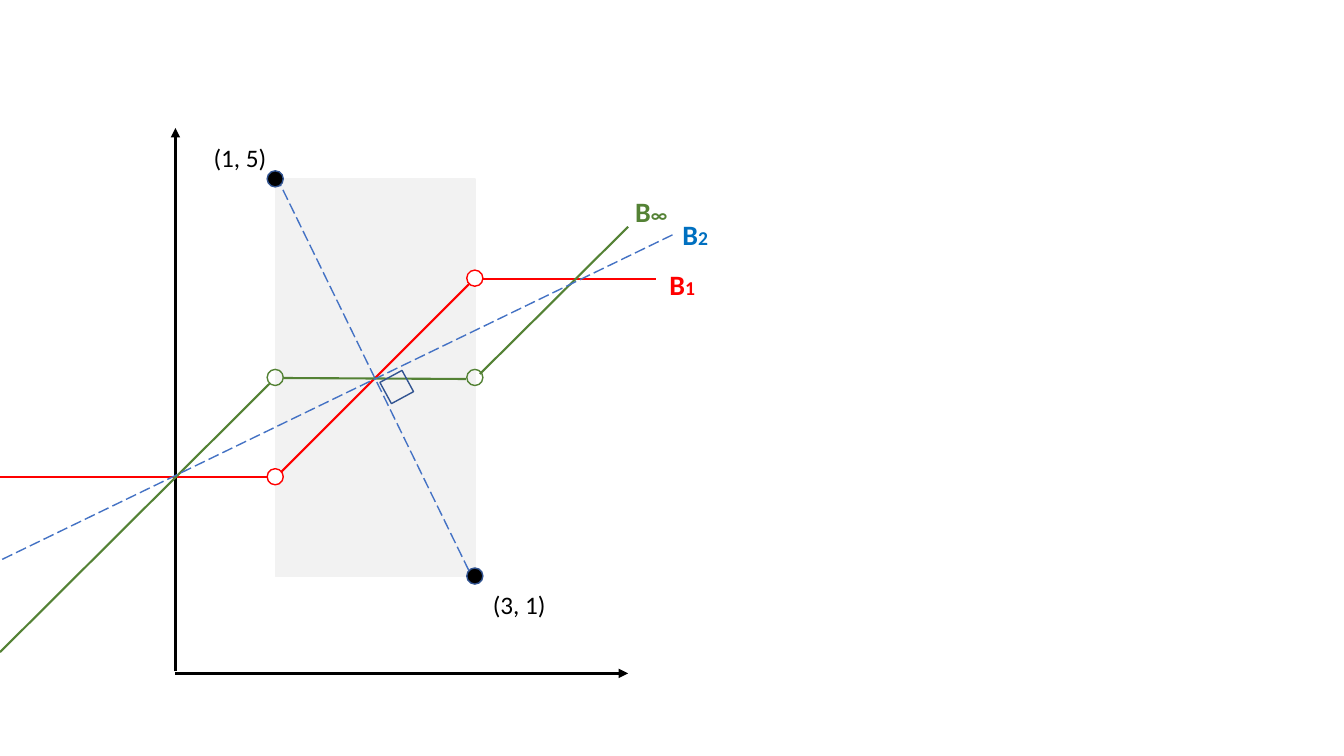
"""Builds a slide with two points and their B1, B2 and B∞ bisectors."""
from pptx import Presentation
from pptx.dml.color import RGBColor
from pptx.enum.dml import MSO_LINE
from pptx.enum.shapes import MSO_CONNECTOR, MSO_SHAPE
from pptx.enum.text import MSO_AUTO_SIZE
from pptx.oxml.ns import qn
from pptx.util import Inches, Pt
from lxml import etree

RECT, OVAL = MSO_SHAPE.RECTANGLE, MSO_SHAPE.OVAL
LINE, DASH = MSO_CONNECTOR.STRAIGHT, MSO_LINE.LONG_DASH
GROW = MSO_AUTO_SIZE.SHAPE_TO_FIT_TEXT

THEME = {
    "font": "Calibri",
    "black": "000000", "white": "FFFFFF", "gray": "F2F2F2",
    "red": "FF0000", "green": "548235", "blue": "4472C4",
    "navy": "325491", "azure": "0070C0",
    "point": 18, "name": 20, "sub": 14,
    "thin": 1, "curve": 1.5, "axis": 2.25,
}
LEFT, BASE = 1.74, 6.7
STEP_X, STEP_Y = 0.99, 0.985
DOT = 0.16

deck = Presentation()
deck.slide_width, deck.slide_height = Inches(13.33), Inches(7.5)
slide = deck.slides.add_slide(deck.slide_layouts[6])
shapes = slide.shapes


def add_form(kind, box, fill, edge):
    """Add a preset shape with a thin edge and an optional fill."""
    form = shapes.add_shape(kind, *map(Inches, box))
    form.shadow.inherit = False
    if fill:
        form.fill.solid()
        form.fill.fore_color.rgb = RGBColor.from_string(THEME[fill])
    else:
        form.fill.background()
    form.line.color.rgb = RGBColor.from_string(THEME[edge])
    form.line.width = Pt(THEME["thin"])
    return form


def add_label(box, parts, color, bold):
    """Add a text box with one run for each text and size."""
    label = shapes.add_textbox(*map(Inches, box))
    frame = label.text_frame
    frame.word_wrap = True
    frame.auto_size = GROW
    for text, size in parts:
        run = frame.paragraphs[0].add_run()
        run.text = text
        look = {"name": THEME["font"], "size": Pt(THEME[size]), "bold": bold}
        for key, value in look.items():
            setattr(run.font, key, value)
        run.font.color.rgb = RGBColor.from_string(THEME[color])


add_form(RECT, (LEFT + STEP_X, BASE - 5 * STEP_Y, 2 * STEP_X, 4 * STEP_Y), "gray", "gray")

lines = [
    ((1.74, 6.66), (1.74, 1.27), "black", "axis"),
    ((1.74, 6.68), (6.23, 6.68), "black", "axis"),
    ((2.79, 4.68), (4.65, 2.82), "red", "curve"),
    ((4.78, 2.77), (6.51, 2.77), "red", "curve"),
    ((0, 4.73), (2.65, 4.73), "red", "curve"),
    ((4.65, 5.66), (2.78, 1.83), "blue", "thin"),
    ((2.81, 3.75), (4.62, 3.76), "green", "curve"),
    ((4.76, 3.71), (6.23, 2.25), "green", "curve"),
    ((0, 6.47), (2.68, 3.8), "green", "curve"),
    ((6.67, 2.33), (0, 5.56), "blue", "thin"),
]
for start, end, color, width in lines:
    link = shapes.add_connector(LINE, *map(Inches, start + end))
    link.line.color.rgb = RGBColor.from_string(THEME[color])
    link.line.width = Pt(THEME[width])
    if color == "blue":
        link.line.dash_style = DASH
    if width == "axis":
        etree.SubElement(link.line._get_or_add_ln(), qn("a:tailEnd"), type="triangle")
    etree.SubElement(link._element.spPr, qn("a:effectLst"))

dots = [
    (1, 5, "black", "navy"), (3, 1, "black", "navy"),
    (1, 2, "white", "red"), (3, 4, "white", "red"),
    (1, 3, None, "green"), (3, 3, None, "green"),
]
for x, y, fill, edge in dots:
    left = LEFT + x * STEP_X - DOT / 2
    top = BASE - y * STEP_Y - DOT / 2
    add_form(OVAL, (left, top, DOT, DOT), fill, edge)

corner = add_form(RECT, (3.81, 3.72, 0.25, 0.24), None, "navy")
corner.rotation = 331.5

for left, top, text in [(2.02, 1.36, "(1, 5)"), (4.79, 5.8, "(3, 1)")]:
    add_label((left, top, 0.94, 0.4), [(text, "point")], "black", False)

names = [(6.54, 2.6, "1", "red"), (6.67, 2.11, "2", "azure"), (6.2, 1.88, "∞", "green")]
for left, top, sub, color in names:
    add_label((left, top, 0.62, 0.44), [("B", "name"), (sub, "sub")], color, True)

deck.save("out.pptx")
